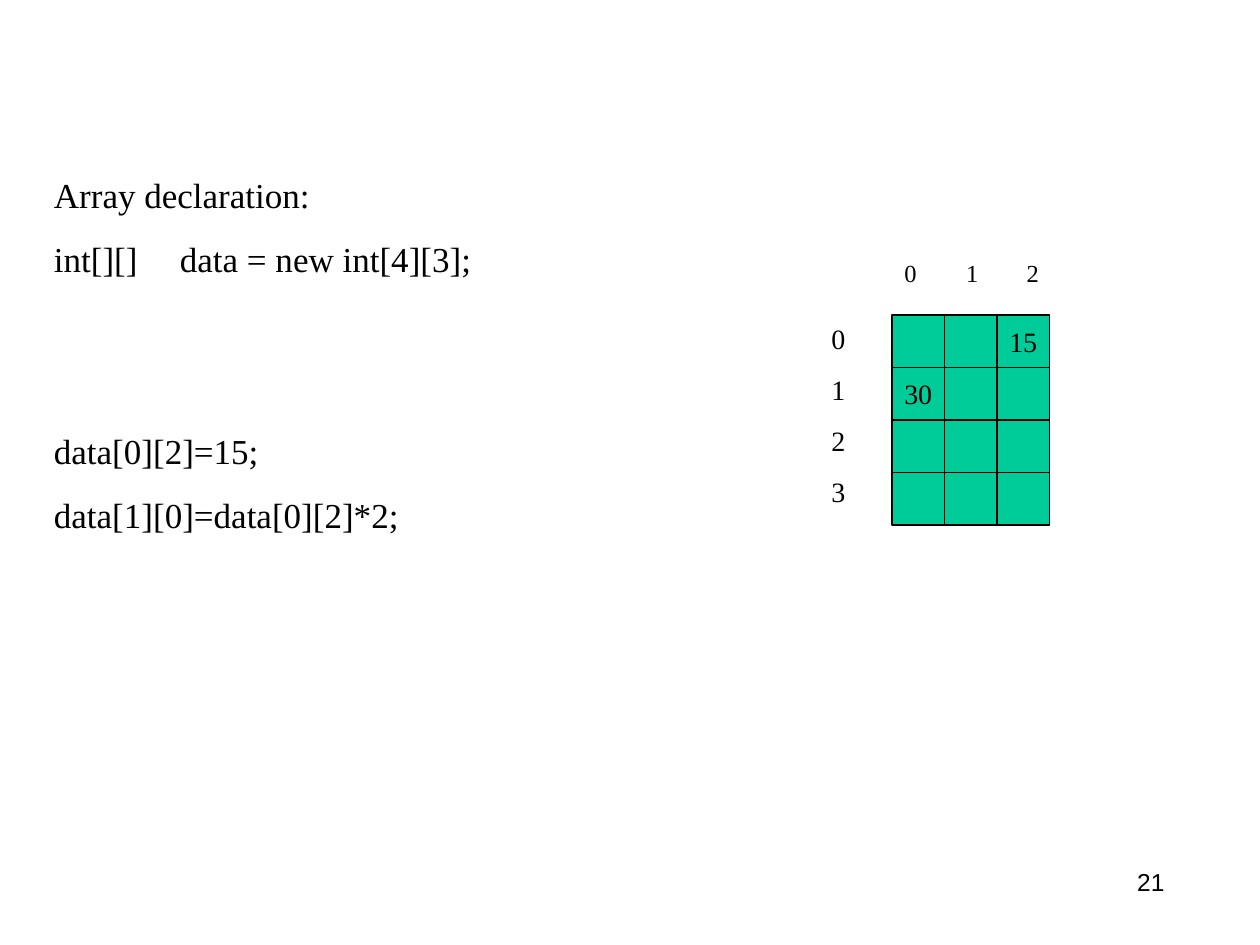
from dataclasses import dataclass

from lxml.etree import SubElement
from pptx import Presentation
from pptx.dml.color import RGBColor
from pptx.enum.shapes import MSO_SHAPE
from pptx.enum.text import MSO_ANCHOR, PP_ALIGN
from pptx.oxml.ns import qn
from pptx.util import Inches, Pt


@dataclass(frozen=True)
class Theme:
    """Colours, fonts and type sizes of the slide."""
    ink: RGBColor = RGBColor(0, 0, 0)
    cell_fill: RGBColor = RGBColor(0x00, 0xCC, 0x99)
    serif: str = "Times New Roman"
    sans: str = "Arial"
    code_size: int = 20
    cell_size: int = 16
    small_size: int = 14


theme = Theme()
presentation = Presentation()
presentation.slide_width, presentation.slide_height = Inches(10), Inches(7.5)
slide = presentation.slides.add_slide(presentation.slide_layouts[6])


def write(text_frame, lines, size, font=theme.serif, align=PP_ALIGN.LEFT,
          gaps=(), tabs=()):
    """Fill a text frame with one paragraph per line, gaps in points before them."""
    text_frame.text = "\n".join(lines)
    for paragraph in text_frame.paragraphs:
        paragraph.alignment = align
        for run in paragraph.runs:
            run.font.size, run.font.name = Pt(size), font
            run.font.color.rgb = theme.ink
        if tabs:
            tab_list = SubElement(paragraph._p.get_or_add_pPr(), qn("a:tabLst"))
            for position in tabs:
                SubElement(tab_list, qn("a:tab"), pos=str(Inches(position)), algn="l")
    for paragraph, gap in zip(text_frame.paragraphs, gaps):
        paragraph.space_before = Pt(gap)


def add_text(left, top, width, height, lines, size, **options):
    """Add a wrapping text box, placed in inches."""
    text_frame = slide.shapes.add_textbox(
        Inches(left), Inches(top), Inches(width), Inches(height)).text_frame
    text_frame.word_wrap = True
    write(text_frame, lines, size, **options)


# Code on the left
code_lines = ["Array declaration:", "int[][] \tdata = new int[4][3];",
              "data[0][2]=15;", "data[1][0]=data[0][2]*2;"]
add_text(0.33, 1.33, 5.33, 2.97, code_lines, theme.code_size,
         gaps=(12.5, 12.5, 85.4, 12.5), tabs=(1,))

# Array grid
rows, columns = 4, 3
cell = 5 / 12
grid_left, grid_top = 7.08, 2.5
values = {(0, 2): "15", (1, 0): "30"}
for row in range(rows):
    for column in range(columns):
        square = slide.shapes.add_shape(
            MSO_SHAPE.RECTANGLE, Inches(grid_left + column * cell),
            Inches(grid_top + row * cell), Inches(cell), Inches(cell))
        square.shadow.inherit = False
        square.fill.solid()
        square.fill.fore_color.rgb = theme.cell_fill
        square.line.color.rgb = theme.ink
        square.line.width = Pt(0.74)
        if (row, column) in values:
            square.text_frame.word_wrap = False
            square.text_frame.vertical_anchor = MSO_ANCHOR.MIDDLE
            write(square.text_frame, [values[row, column]], theme.cell_size,
                  align=PP_ALIGN.CENTER)

# Row and column indices
add_text(6.5, grid_top, cell, 1.59, [str(row) for row in range(rows)],
         theme.cell_size, gaps=[10] * rows)
add_text(grid_left, 2, 1.42, 0.34, ["\t".join(str(column) for column in range(columns))],
         theme.small_size, gaps=(8.8,), tabs=(0.49, 0.97))

# Page number
add_text(8.67, 6.83, 0.67, 0.52, ["21"], theme.small_size, font=theme.sans,
         align=PP_ALIGN.RIGHT)

presentation.save("out.pptx")
